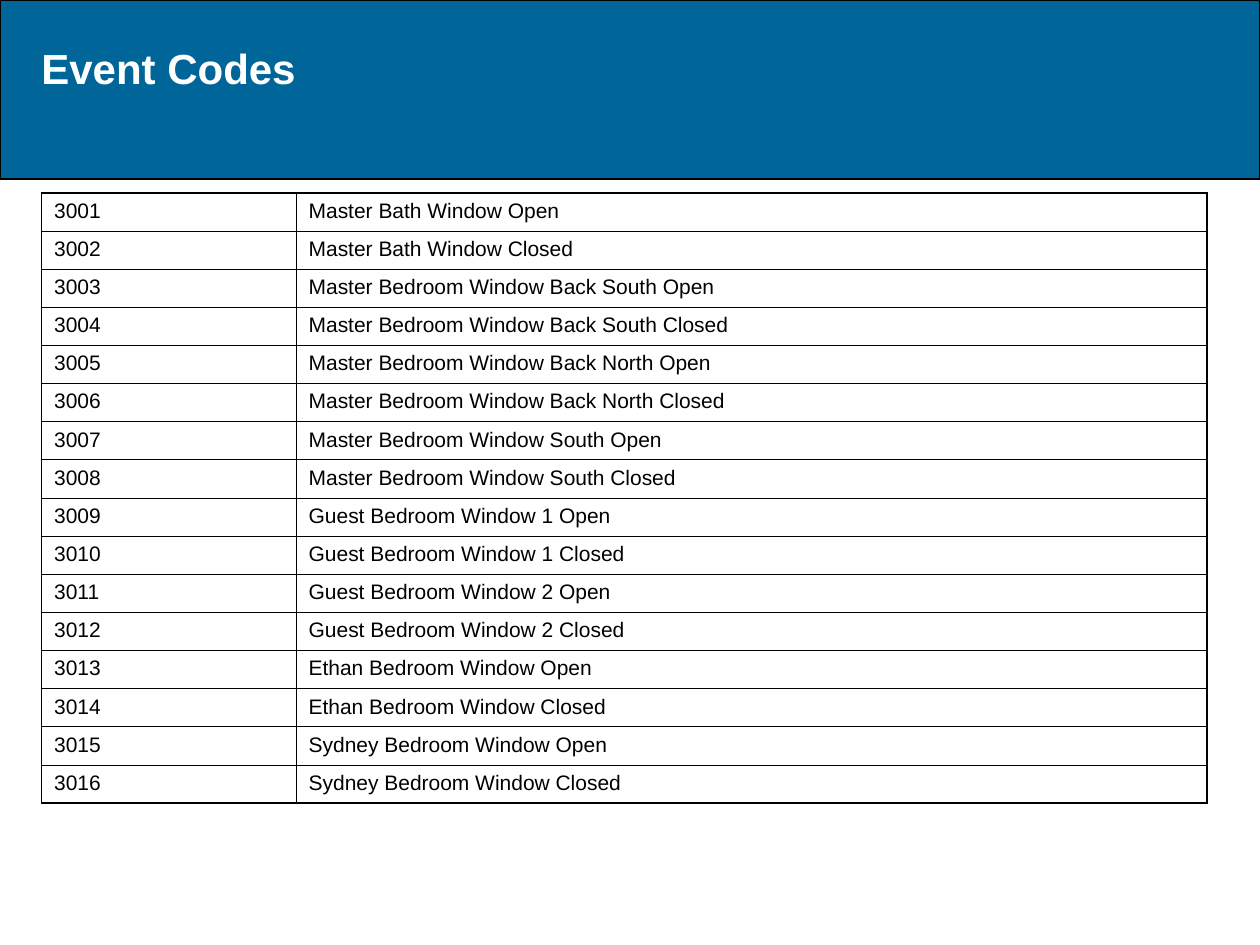
from lxml import etree
from pptx import Presentation
from pptx import util as u
from pptx.dml.color import RGBColor
from pptx.enum import shapes, text
from pptx.oxml import ns

BLUE = RGBColor(0x00, 0x66, 0x99)
WHITE = RGBColor(0xFF, 0xFF, 0xFF)
BLACK = RGBColor(0x00, 0x00, 0x00)

FIRST_CODE = 3001
WINDOWS = [
    "Master Bath Window",
    "Master Bedroom Window Back South",
    "Master Bedroom Window Back North",
    "Master Bedroom Window South",
    "Guest Bedroom Window 1",
    "Guest Bedroom Window 2",
    "Ethan Bedroom Window",
    "Sydney Bedroom Window",
]
STATES = ["Open", "Closed"]


class EventSlide:
    font = "Arial"
    thin, thick = 0.45, 1.08

    def __init__(self, deck):
        self.page = deck.slides.add_slide(deck.slide_layouts[6])

    def style(self, para, size, color, bold=False):
        for span in para.runs:
            span.font.name = self.font
            span.font.size = u.Pt(size)
            span.font.bold = bold
            span.font.color.rgb = color

    def band(self, left, top, width, height):
        box = self.page.shapes.add_shape(
            shapes.MSO_SHAPE.RECTANGLE, u.Inches(left), u.Inches(top),
            u.Inches(width), u.Inches(height))
        box.shadow.inherit = False
        box.fill.solid()
        box.fill.fore_color.rgb = BLUE
        box.line.color.rgb = BLACK
        box.line.width = u.Pt(1)

    def title(self, words, left, top, width, height):
        box = self.page.shapes.add_textbox(
            u.Inches(left), u.Inches(top), u.Inches(width), u.Inches(height))
        frame = box.text_frame
        frame.word_wrap = True
        frame.auto_size = text.MSO_AUTO_SIZE.SHAPE_TO_FIT_TEXT
        frame.text = words
        self.style(frame.paragraphs[0], 24, WHITE, bold=True)

    def border(self, cell, side, points):
        props = cell._tc.get_or_add_tcPr()
        line = etree.SubElement(props, ns.qn(f"a:ln{side}"), w=str(u.Pt(points)))
        fill = etree.SubElement(line, ns.qn("a:solidFill"))
        etree.SubElement(fill, ns.qn("a:srgbClr"), val=str(BLACK))

    def table(self, rows, left, top, widths, height):
        frame = self.page.shapes.add_table(
            len(rows), len(widths), u.Inches(left), u.Inches(top),
            u.Inches(sum(widths)), u.Inches(height))
        grid = frame.table
        grid.first_row = grid.horz_banding = False
        for column, width in zip(grid.columns, widths):
            column.width = u.Inches(width)
        last_row, last_col = len(rows) - 1, len(widths) - 1
        for r, row in enumerate(rows):
            for c, words in enumerate(row):
                cell = grid.cell(r, c)
                # Outer edges are thick, inner rules thin
                outer = {"L": c == 0, "R": c == last_col,
                         "T": r == 0, "B": r == last_row}
                for side, is_outer in outer.items():
                    self.border(cell, side, self.thick if is_outer else self.thin)
                cell.fill.background()
                cell.text_frame.text = words
                para = cell.text_frame.paragraphs[0]
                para.space_before = u.Pt(3)
                self.style(para, 12, BLACK)


def main():
    deck = Presentation()
    deck.slide_width, deck.slide_height = u.Inches(10), u.Inches(7.5)
    slide = EventSlide(deck)

    # Header
    slide.band(0, 0, 10, 1.42)
    slide.title("Event Codes", 0.23, 0.29, 9.43, 0.5)

    # Each window has one code per state
    events = [f"{window} {state}" for window in WINDOWS for state in STATES]
    rows = [(str(code), event) for code, event in enumerate(events, FIRST_CODE)]
    slide.table(rows, 0.33, 1.53, [2.02, 7.23], 4.85)

    deck.save("out.pptx")


if __name__ == "__main__":
    main()
